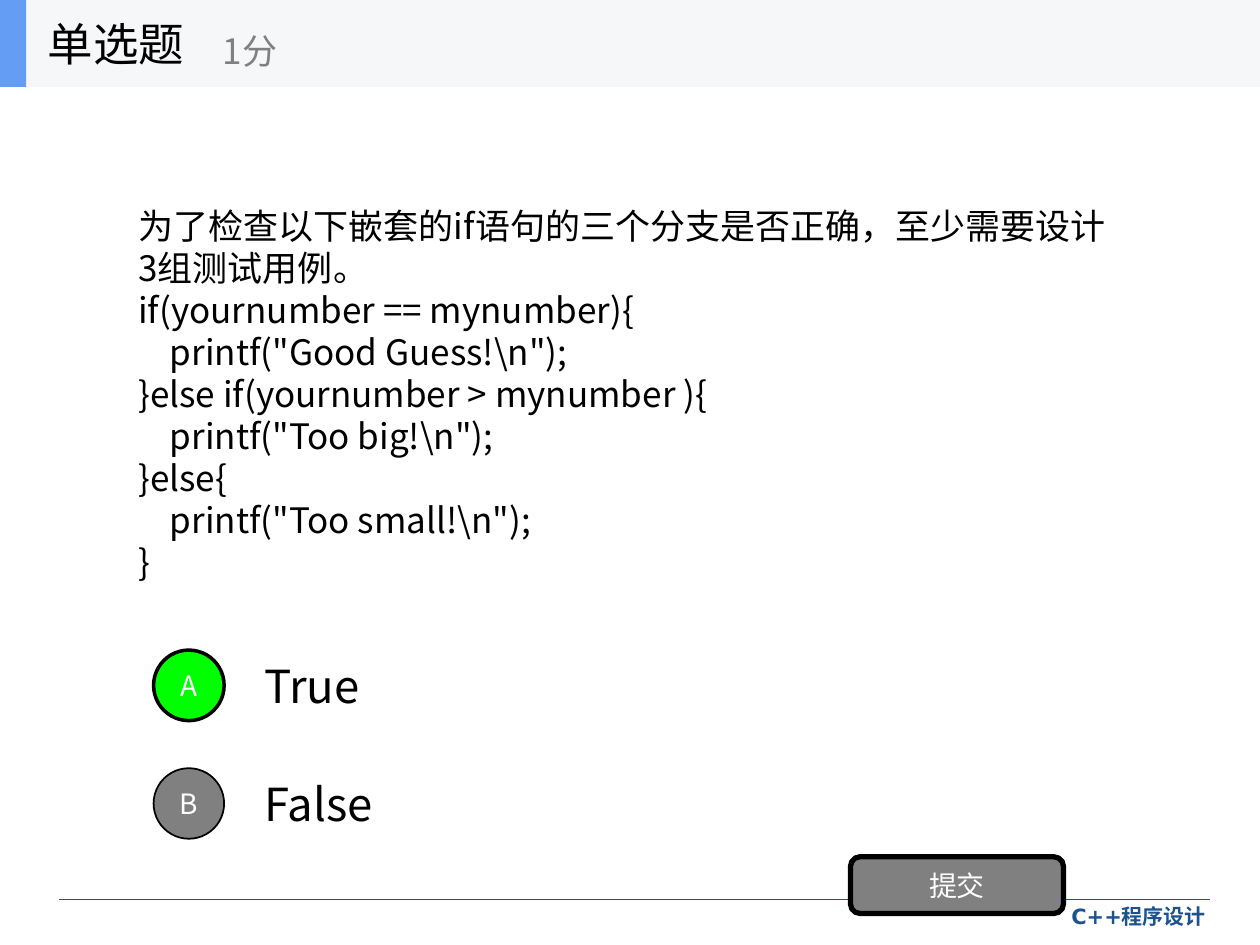
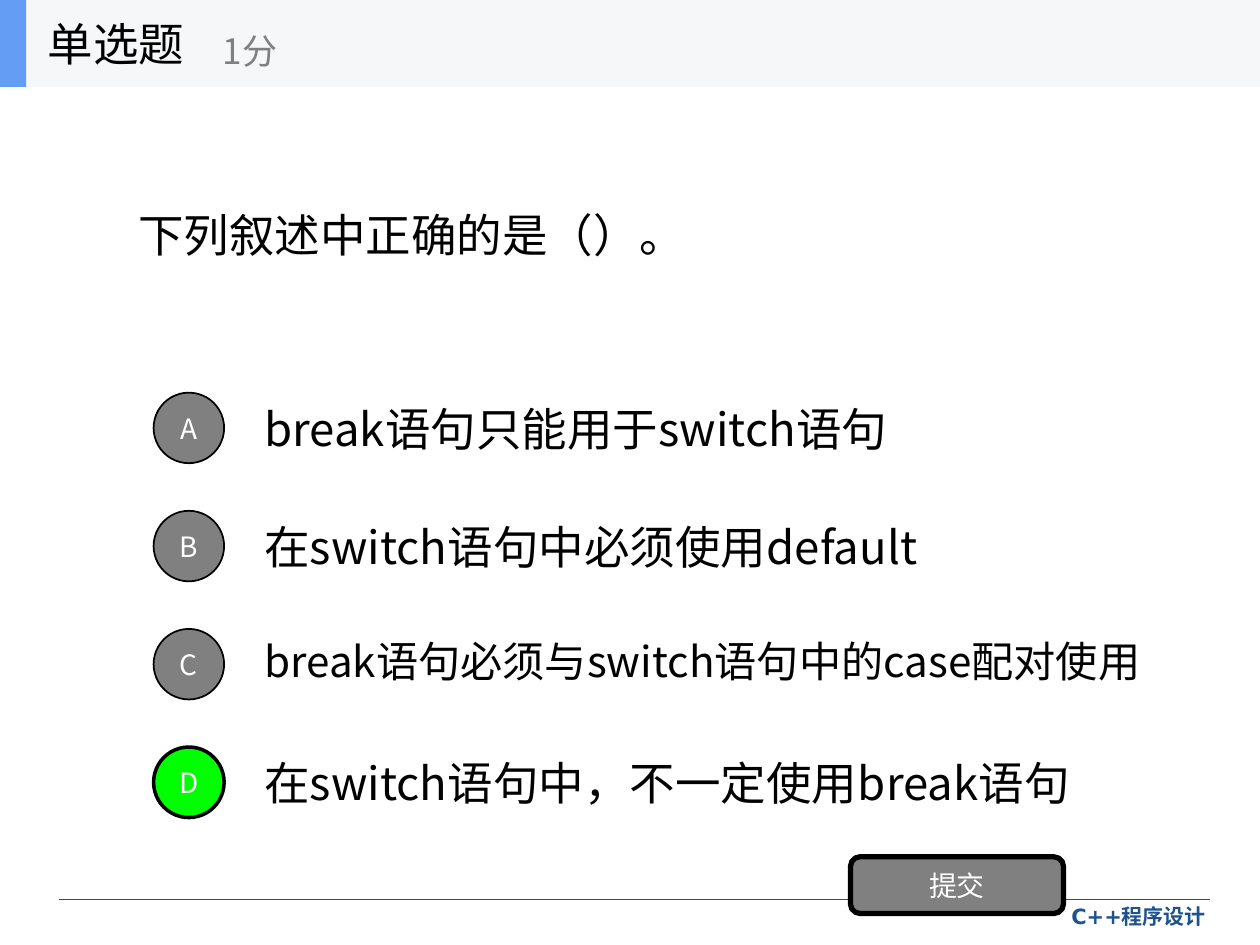
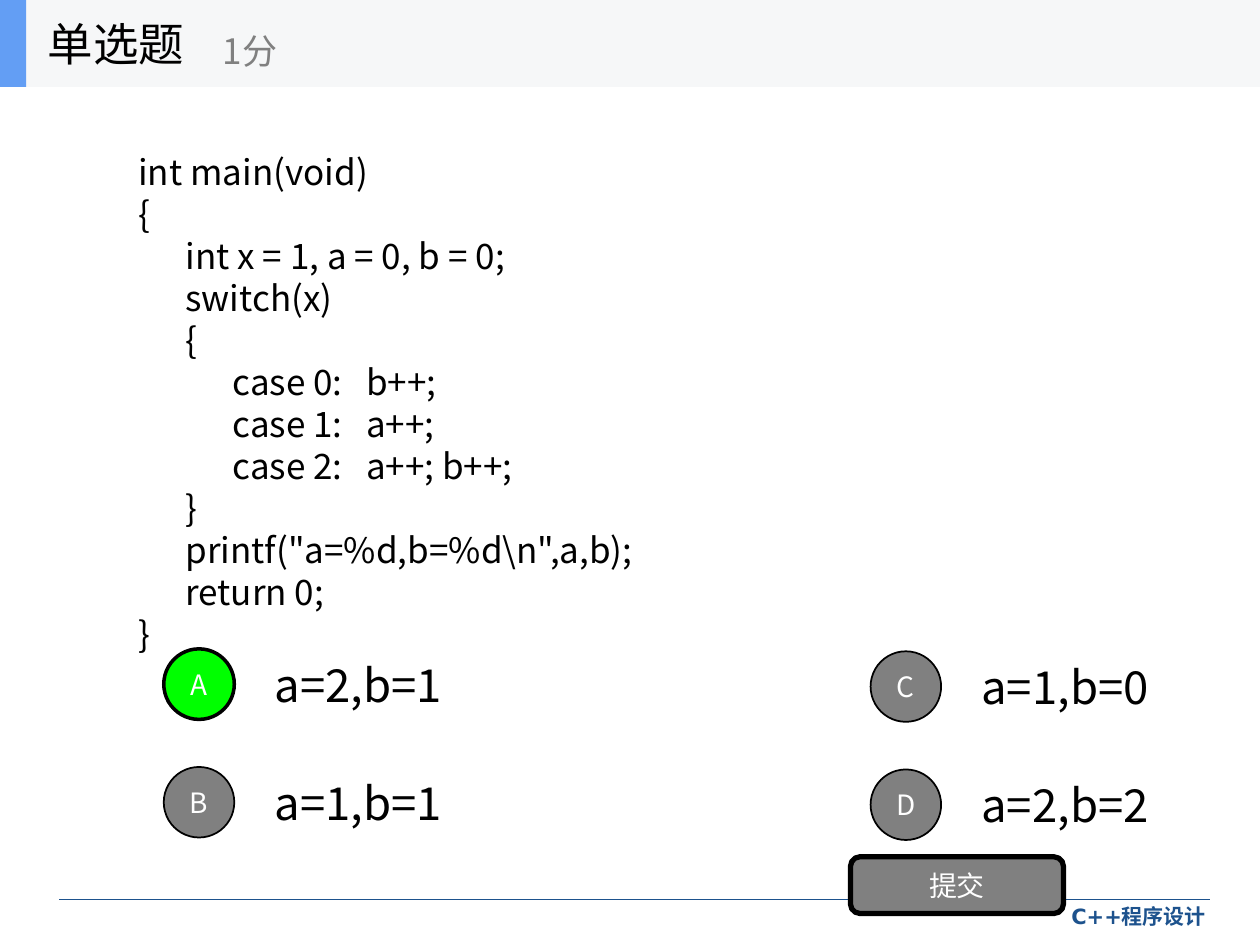
"""Build three single-choice quiz slides on C++ branching."""
from dataclasses import dataclass

from lxml import etree
from pptx import Presentation
from pptx.dml.color import RGBColor
from pptx.enum.shapes import MSO_CONNECTOR, MSO_SHAPE
from pptx.enum.text import MSO_ANCHOR, PP_ALIGN
from pptx.oxml.ns import qn
from pptx.util import Pt

RECTANGLE, OVAL, ROUNDED = MSO_SHAPE.RECTANGLE, MSO_SHAPE.OVAL, MSO_SHAPE.ROUNDED_RECTANGLE
STRAIGHT = MSO_CONNECTOR.STRAIGHT
TOP, MIDDLE = MSO_ANCHOR.TOP, MSO_ANCHOR.MIDDLE
LEFT, CENTER, RIGHT = PP_ALIGN.LEFT, PP_ALIGN.CENTER, PP_ALIGN.RIGHT


@dataclass(frozen=True)
class Theme:
    black: str = "000000"
    white: str = "FFFFFF"
    gray: str = "808080"
    correct: str = "00FF00"
    navy: str = "1D528D"
    band: str = "F6F7F8"
    accent: str = "639EF4"
    body_font: str = "Noto Sans CJK SC"
    footer_font: str = "DejaVu Sans"
    heading_size: float = 26
    tight_size: float = 24.1
    code_size: float = 20
    button_size: float = 16
    footer_size: float = 12


THEME = Theme()
CODE_FORMAT = {"line_spacing": Pt(24)}
SINGLE_FORMAT = {"line_spacing": 1.0}
TIGHT_FORMAT = {"line_spacing": 0.9}

CIRCLE = 40.3
OPTION_STEP = 67.5
LABEL_OFFSET = 56.2
LABEL_HEIGHT = 50.4
BUTTON = (486, 489.6, 121.7, 32.4)

QUIZZES = [
    {
        "question": [
            "为了检查以下嵌套的if语句的三个分支是否正确，至少需要设计3组测试用例。",
            "if(yournumber == mynumber){",
            '    printf("Good Guess!\\n");',
            "}else if(yournumber > mynumber ){",
            '    printf("Too big!\\n");',
            "}else{",
            '    printf("Too small!\\n");',
            "}",
        ],
        "box": (72, 100.8, 576, 248.4),
        "size": THEME.code_size,
        "answer": "A",
        "columns": [(87.8, 371.5, 504, ["True", "False"])],
    },
    {
        "question": ["下列叙述中正确的是（）。"],
        "box": (72, 49.7, 576, 168.5),
        "size": THEME.heading_size,
        "answer": "D",
        "columns": [(87.8, 224.4, 504, [
            "break语句只能用于switch语句",
            "在switch语句中必须使用default",
            "break语句必须与switch语句中的case配对使用",
            "在switch语句中，不一定使用break语句",
        ])],
        "tight": {"C": 561.6},
    },
    {
        "question": [
            "int main(void)",
            "{",
            "      int x = 1, a = 0, b = 0;",
            "      switch(x)",
            "      {",
            "            case 0:   b++;",
            "            case 1:   a++;",
            "            case 2:   a++; b++;",
            "      }",
            '      printf("a=%d,b=%d\\n",a,b);',
            "      return 0;",
            "}",
        ],
        "box": (72, 49.7, 576, 360.7),
        "size": THEME.code_size,
        "answer": "A",
        "columns": [
            (93.6, 370.8, 140, ["a=2,b=1", "a=1,b=1"]),
            (497.5, 372.2, 140, ["a=1,b=0", "a=2,b=2"]),
        ],
    },
]


def points(values):
    return [Pt(value) for value in values]


def write(shape, lines, size, color=THEME.black, font=THEME.body_font, bold=False,
          align=LEFT, anchor=MIDDLE, paragraph_format=SINGLE_FORMAT):
    frame = shape.text_frame
    frame.word_wrap = True
    frame.vertical_anchor = anchor
    font_format = {"size": Pt(size), "name": font, "bold": bold}
    for index, line in enumerate(lines):
        paragraph = frame.add_paragraph() if index else frame.paragraphs[0]
        for name, value in {"alignment": align, **paragraph_format}.items():
            setattr(paragraph, name, value)
        run = paragraph.add_run()
        run.text = line
        for name, value in font_format.items():
            setattr(run.font, name, value)
        run.font.color.rgb = RGBColor.from_string(color)
        east_asian = etree.SubElement(run.font._element, qn("a:ea"))
        east_asian.set("typeface", font)


def add_text(slide, box, lines, size, **style):
    write(slide.shapes.add_textbox(*points(box)), lines, size, **style)


def add_block(slide, kind, box, fill, border=0):
    shape = slide.shapes.add_shape(kind, *points(box))
    shape.shadow.inherit = False
    shape.fill.solid()
    shape.fill.fore_color.rgb = RGBColor.from_string(fill)
    if border:
        shape.line.color.rgb = RGBColor.from_string(THEME.black)
        shape.line.width = Pt(border)
    else:
        shape.line.fill.background()
    return shape


def add_footer(slide):
    rule = slide.shapes.add_connector(STRAIGHT, *points((33.8, 514, 691.2, 514)))
    rule.line.color.rgb = RGBColor.from_string(THEME.navy)
    rule.line.width = Pt(0.75)
    etree.SubElement(rule._element.spPr, qn("a:effectLst"))
    add_text(slide, (468, 512.6, 228.2, 23.8), ["C++程序设计"], THEME.footer_size,
             color=THEME.navy, font=THEME.footer_font, bold=True, align=RIGHT, anchor=TOP)


def add_header(slide):
    add_block(slide, RECTANGLE, (0, 0, 720, 49.7), THEME.band)
    add_block(slide, RECTANGLE, (0, 0, 15, 49.7), THEME.accent)
    add_text(slide, (20.2, 0, 149.8, 49.7), ["单选题"], THEME.heading_size)
    add_text(slide, (120.2, 8.6, 180, 40.3), ["1分"], THEME.code_size, color=THEME.gray)


def add_options(slide, quiz):
    letters = iter("ABCD")
    tight = quiz.get("tight", {})
    for left, first_top, width, labels in quiz["columns"]:
        for row, label in enumerate(labels):
            letter = next(letters)
            top = first_top + row * OPTION_STEP
            is_tight = letter in tight
            add_text(slide,
                     (left + LABEL_OFFSET, top - (LABEL_HEIGHT - CIRCLE) / 2,
                      tight.get(letter, width), LABEL_HEIGHT),
                     [label], THEME.tight_size if is_tight else THEME.heading_size,
                     paragraph_format=TIGHT_FORMAT if is_tight else SINGLE_FORMAT)
            fill, border = (THEME.correct, 2) if letter == quiz["answer"] else (THEME.gray, 1)
            circle = add_block(slide, OVAL, (left, top, CIRCLE, CIRCLE), fill, border)
            write(circle, [letter], THEME.button_size, color=THEME.white, align=CENTER)


def add_quiz(presentation, quiz):
    slide = presentation.slides.add_slide(presentation.slide_layouts[6])
    add_footer(slide)
    spacing = CODE_FORMAT if quiz["size"] == THEME.code_size else SINGLE_FORMAT
    add_text(slide, quiz["box"], quiz["question"], quiz["size"], paragraph_format=spacing)
    add_options(slide, quiz)
    button = add_block(slide, ROUNDED, BUTTON, THEME.gray, 3)
    write(button, ["提交"], THEME.button_size, color=THEME.white, align=CENTER)
    add_header(slide)


def main():
    presentation = Presentation()
    presentation.slide_width, presentation.slide_height = points((720, 540))
    for quiz in QUIZZES:
        add_quiz(presentation, quiz)
    presentation.save("out.pptx")


if __name__ == "__main__":
    main()
